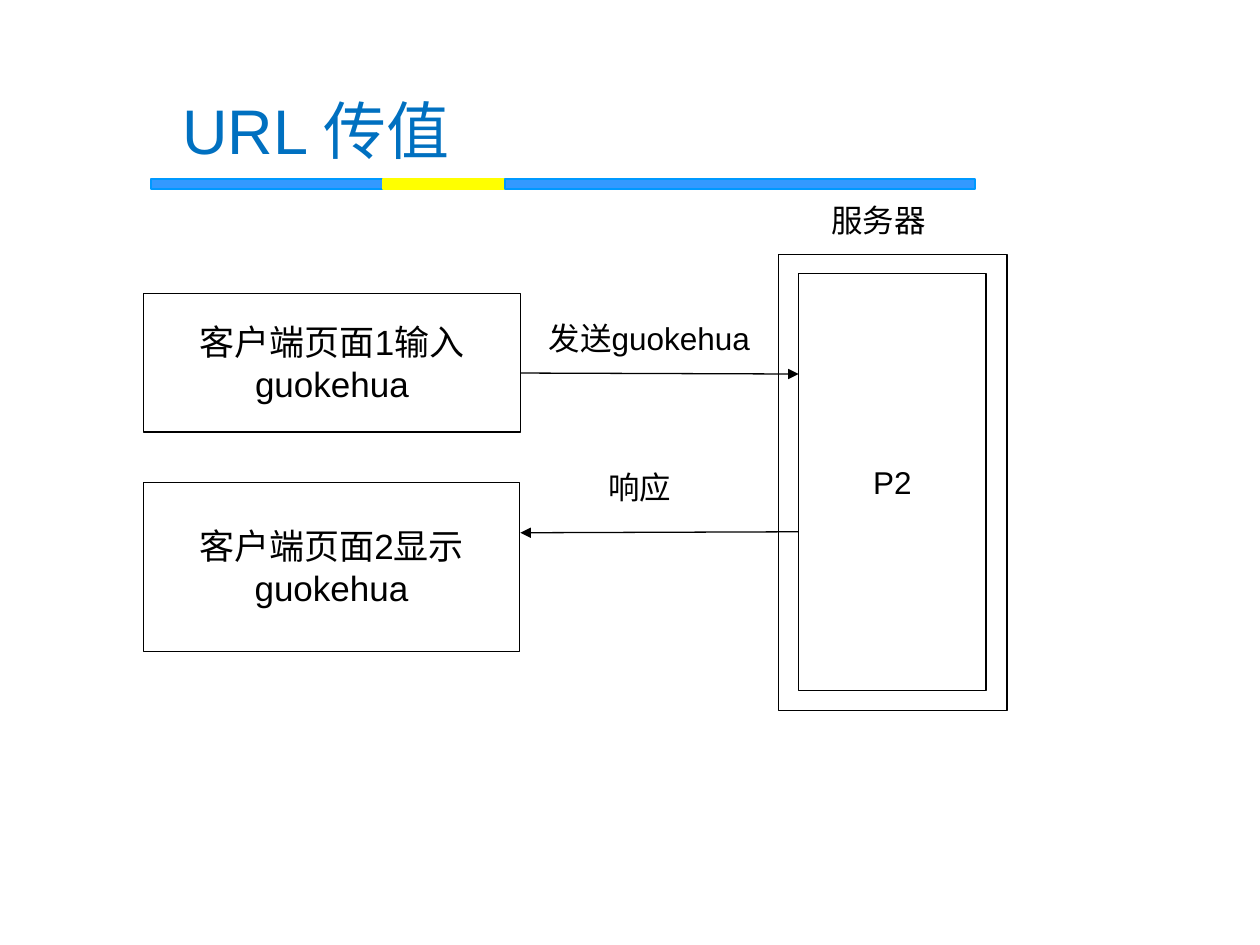
from dataclasses import dataclass

from lxml import etree
from pptx import Presentation
from pptx import util as u
from pptx.dml.color import RGBColor
from pptx.enum import shapes, text
from pptx.oxml.ns import qn


@dataclass(frozen=True)
class Theme:
    font: str = "Arial"
    ink: str = "000000"
    paper: str = "FFFFFF"
    title: str = "0070C0"
    blue: str = "3399FF"
    edge: str = "0099FF"
    yellow: str = "FFFF00"
    head: int = 36
    body: int = 20
    note: int = 18
    line: float = 0.75
    rule: float = 1


class Page:
    def __init__(self, slide, theme):
        self.slide = slide
        self.theme = theme

    def fill_text(self, frame, lines, size, color, align):
        frame.word_wrap = False
        frame.vertical_anchor = text.MSO_ANCHOR.MIDDLE
        frame.text = lines
        for para in frame.paragraphs:
            para.alignment = align
            para.font.name = self.theme.font
            para.font.size = u.Pt(size)
            para.font.color.rgb = RGBColor.from_string(color)

    def rect(self, area, fill, edge, width):
        box = self.slide.shapes.add_shape(
            shapes.MSO_SHAPE.RECTANGLE, *map(u.Cm, area))
        box.shadow.inherit = False
        box.fill.solid()
        box.fill.fore_color.rgb = RGBColor.from_string(fill)
        box.line.color.rgb = RGBColor.from_string(edge)
        box.line.width = u.Pt(width)
        return box

    def box(self, area, lines="", size=None):
        t = self.theme
        box = self.rect(area, t.paper, t.ink, t.line)
        if lines:
            self.fill_text(box.text_frame, lines, size, t.ink,
                           text.PP_ALIGN.CENTER)

    def label(self, area, words, size=None, color=None,
              align=text.PP_ALIGN.CENTER):
        t = self.theme
        box = self.slide.shapes.add_textbox(*map(u.Cm, area))
        self.fill_text(box.text_frame, words, size or t.note,
                       color or t.ink, align)
        box.text_frame.word_wrap = True

    def arrow(self, *ends):
        line = self.slide.shapes.add_connector(
            shapes.MSO_CONNECTOR.STRAIGHT, *map(u.Cm, ends))
        line.line.color.rgb = RGBColor.from_string(self.theme.ink)
        line.line.width = u.Pt(self.theme.line)
        props = line._element.spPr
        etree.SubElement(props.find(qn("a:ln")), qn("a:tailEnd"),
                         type="triangle")
        etree.SubElement(props, qn("a:effectLst"))


def main():
    deck = Presentation()
    deck.slide_width, deck.slide_height = u.Cm(25.4), u.Cm(19.05)
    theme = Theme()
    page = Page(deck.slides.add_slide(deck.slide_layouts[6]), theme)

    # Title and the striped rule under it
    left = 3.05
    for width, fill, edge in ((4.67, theme.blue, theme.edge),
                              (2.46, theme.yellow, theme.yellow),
                              (9.47, theme.blue, theme.edge)):
        page.rect((left, 3.61, width, 0.2), fill, edge, theme.rule)
        left += width
    page.label((3.43, 1.65, 12.7, 1.9), "URL 传值", theme.head,
               theme.title, text.PP_ALIGN.LEFT)

    # Client pages
    page.box((2.9, 5.92, 7.59, 2.79), "客户端页面1输入\nguokehua", theme.body)
    page.box((2.9, 9.73, 7.57, 3.4), "客户端页面2显示\nguokehua", theme.body)

    # Server with its page
    page.box((15.7, 5.13, 4.6, 9.19))
    page.box((16.1, 5.51, 3.78, 8.41), "P2", theme.note)
    page.label((16.31, 3.94, 2.79, 1), "服务器")

    # Request and response
    client, server = 10.49, 16.1
    page.arrow(client, 7.52, server, 7.54)
    page.arrow(server, 10.72, client, 10.74)
    page.label((10.69, 6.32, 4.8, 1), "发送guokehua")
    page.label((10.9, 9.32, 3.99, 1), "响应")

    deck.save("out.pptx")


if __name__ == "__main__":
    main()
